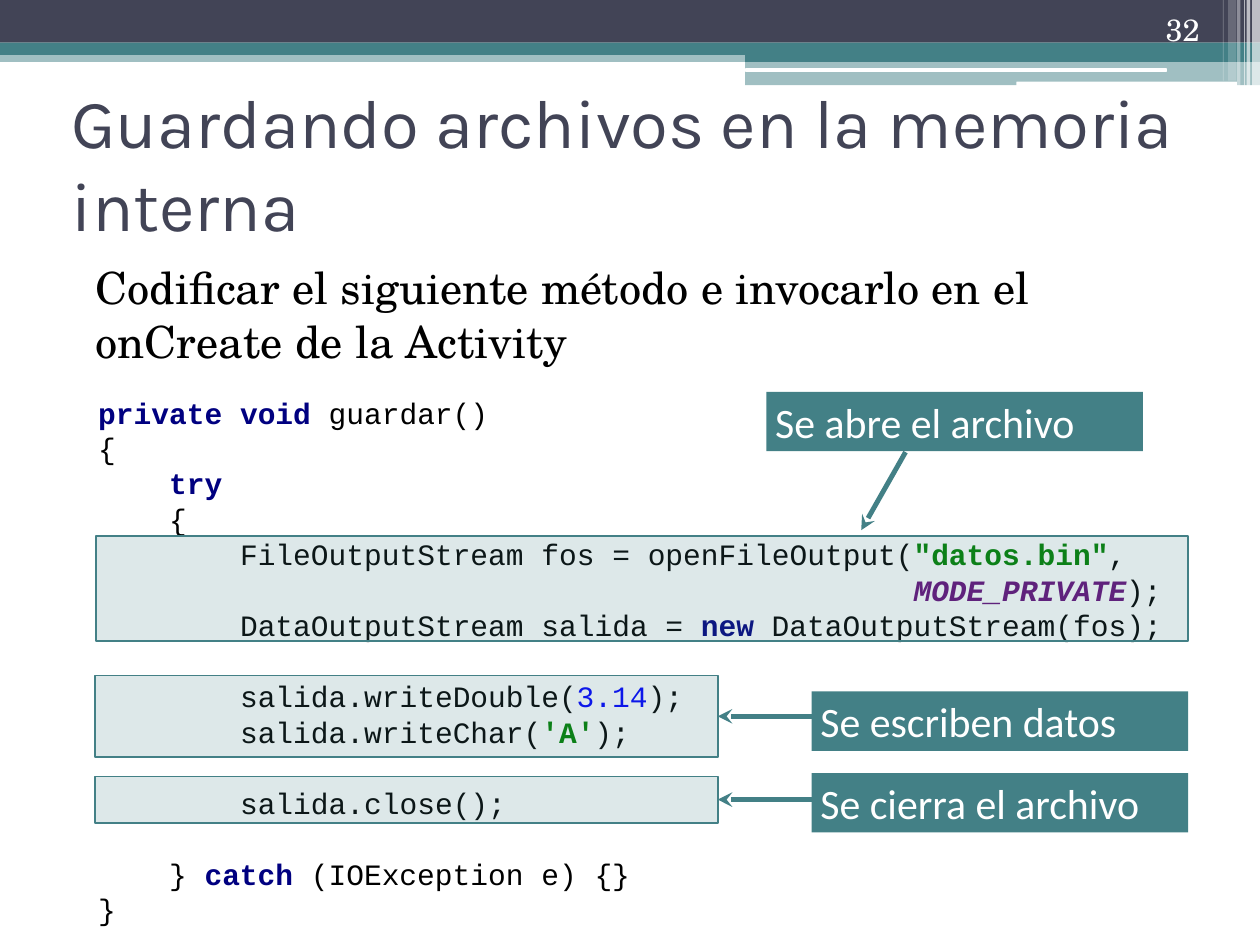
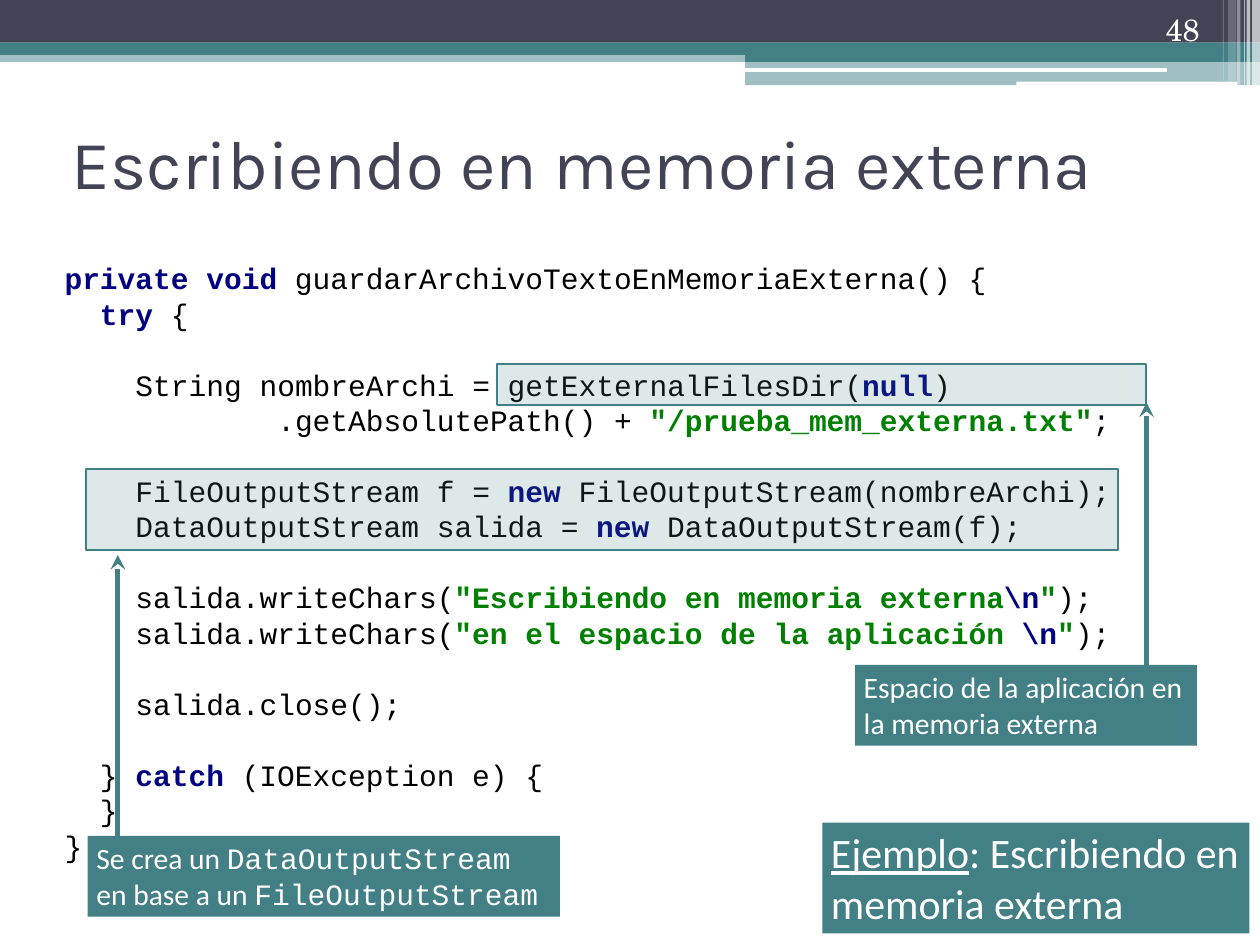
from dataclasses import dataclass, replace
from typing import NamedTuple, Sequence

from lxml.etree import SubElement
from pptx import Presentation
from pptx.dml.color import RGBColor
from pptx.enum.shapes import MSO_CONNECTOR, MSO_SHAPE
from pptx.enum.text import MSO_ANCHOR, PP_ALIGN
from pptx.oxml.ns import qn
from pptx.shapes.autoshape import Shape
from pptx.slide import Slide
from pptx.util import Emu, Pt

# Shared look: 100 px to the inch
PX = 9144
SLIDE_WIDTH, SLIDE_HEIGHT = 1422, 1066
NAVY, TEAL, WHITE, BLACK = "424456", "438086", "FFFFFF", "000000"
LINE_RATIO = 1.2


class Box(NamedTuple):
    left: int
    top: int
    width: int
    height: int


@dataclass(frozen=True)
class TextStyle:
    font: str
    size: int
    color: str
    bold: bool = False
    italic: bool = False
    underline: bool = False


class Run(NamedTuple):
    text: str
    style: TextStyle


class Band(NamedTuple):
    box: Box
    color: str
    opacity: int = 100
    rounded: bool = False


class Arrow(NamedTuple):
    start: tuple[int, int]
    end: tuple[int, int]
    joins_highlight: bool = False


class Note(NamedTuple):
    box: Box
    runs: list[Run]
    highlight: Box | None = None
    arrow: Arrow | None = None


Line = Sequence[Run]

# Text styles
TITLE = TextStyle("Karla", 56, NAVY)
BODY = TextStyle("TeX Gyre Schola", 36, BLACK)
NUMBER = TextStyle("TeX Gyre Schola", 25, WHITE)
NOTE_LARGE = TextStyle("Calibri", 34, WHITE)
NOTE_SMALL = replace(NOTE_LARGE, size=24)
NOTE_CODE = replace(NOTE_SMALL, font="Courier New")
PLAIN = TextStyle("Courier New", 24, BLACK)
KEYWORD = replace(PLAIN, color="000080", bold=True)
STRING = replace(PLAIN, color="008000", bold=True)
CONSTANT = replace(PLAIN, color="660E7A", bold=True, italic=True)
DIGITS = replace(PLAIN, color="0000FF")

# Header bands and the stripes at the right edge
HEADER = [
    Band(Box(0, 57, SLIDE_WIDTH, 13), TEAL, 50),
    Band(Box(0, 0, SLIDE_WIDTH, 48), NAVY),
    Band(Box(0, 48, SLIDE_WIDTH, 14), TEAL),
    Band(Box(841, 56, 581, 14), TEAL),
    Band(Box(841, 68, 581, 28), TEAL, 50),
    Band(Box(841, 77, 476, 4), WHITE, rounded=True),
    Band(Box(1147, 92, 249, 6), WHITE, rounded=True),
    *(Band(Box(left, 0, width, height), WHITE, opacity)
      for left, width, height, opacity in [
          (1413, 9, 97, 65), (1407, 4, 97, 65), (1404, 1, 97, 60),
          (1396, 4, 97, 40), (1386, 9, 91, 20), (1380, 1, 91, 30)]),
]
TITLE_BOX = Box(71, 100, 1280, 166)
NUMBER_BOX = Box(1036, 4, 332, 57)


def plain(text: str) -> Run:
    return Run(text, PLAIN)


def keyword(text: str) -> Run:
    return Run(text, KEYWORD)


def string(text: str) -> Run:
    return Run(text, STRING)


def rgb(color: str) -> RGBColor:
    return RGBColor.from_string(color)


def scaled(values: Sequence[int]) -> list[Emu]:
    return [Emu(value * PX) for value in values]


def add_rectangle(slide: Slide, box: Box, color: str, opacity: int = 100,
                  rounded: bool = False, outline: float = 0) -> Shape:
    kind = MSO_SHAPE.ROUNDED_RECTANGLE if rounded else MSO_SHAPE.RECTANGLE
    shape = slide.shapes.add_shape(kind, *scaled(box))
    shape.shadow.inherit = False
    shape.fill.solid()
    shape.fill.fore_color.rgb = rgb(color)
    if opacity < 100:
        fill_color = shape._element.spPr.find(".//" + qn("a:srgbClr"))
        SubElement(fill_color, qn("a:alpha")).set("val", str(opacity * 1000))
    if outline:
        shape.line.color.rgb = rgb(color)
        shape.line.width = Pt(outline)
    else:
        shape.line.fill.background()
    return shape


def write_lines(shape: Shape, lines: Sequence[Line],
                anchor: MSO_ANCHOR = MSO_ANCHOR.TOP,
                align: PP_ALIGN = PP_ALIGN.LEFT) -> None:
    """Write one paragraph a line; an empty line becomes space before the next."""
    frame = shape.text_frame
    frame.word_wrap = True
    frame.vertical_anchor = anchor
    paragraph, gap = frame.paragraphs[0], 0.0
    for index, line in enumerate(lines):
        if not line:
            gap += PLAIN.size * LINE_RATIO
            continue
        if index:
            paragraph = frame.add_paragraph()
        paragraph.alignment = align
        paragraph.line_spacing = Pt(line[0].style.size * LINE_RATIO)
        paragraph.space_before = Pt(gap)
        gap = 0.0
        for text, style in line:
            run = paragraph.add_run()
            run.text = text
            font = run.font
            font.name, font.size = style.font, Pt(style.size)
            font.color.rgb = rgb(style.color)
            font.bold, font.italic = style.bold, style.italic
            font.underline = style.underline


def add_text(slide: Slide, box: Box, run: Run,
             anchor: MSO_ANCHOR = MSO_ANCHOR.TOP,
             align: PP_ALIGN = PP_ALIGN.LEFT) -> Shape:
    shape = slide.shapes.add_textbox(*scaled(box))
    write_lines(shape, [[run]], anchor, align)
    return shape


def add_arrow(slide: Slide, arrow: Arrow, highlight: Shape) -> None:
    connector = slide.shapes.add_connector(
        MSO_CONNECTOR.STRAIGHT, *scaled(arrow.start + arrow.end))
    if arrow.joins_highlight:
        connector.end_connect(highlight, 3)
    connector.line.color.rgb = rgb(TEAL)
    connector.line.width = Pt(4)
    SubElement(connector.line._get_or_add_ln(), qn("a:tailEnd")).set("type", "stealth")
    SubElement(connector._element.spPr, qn("a:effectLst"))


def add_note(slide: Slide, note: Note) -> None:
    if note.highlight:
        highlight = add_rectangle(slide, note.highlight, TEAL, 18, outline=1.5)
        if note.arrow:
            add_arrow(slide, note.arrow, highlight)
    write_lines(add_rectangle(slide, note.box, TEAL), [note.runs])


def add_code(slide: Slide, box: Box, lines: Sequence[Line]) -> None:
    write_lines(add_rectangle(slide, box, WHITE), lines, MSO_ANCHOR.MIDDLE)


def add_base_slide(presentation: Presentation, title: str, number: int) -> Slide:
    slide = presentation.slides.add_slide(presentation.slide_layouts[6])
    for band in HEADER:
        add_rectangle(slide, *band)
    add_text(slide, TITLE_BOX, Run(title, TITLE), MSO_ANCHOR.MIDDLE)
    number_shape = add_text(slide, NUMBER_BOX, Run(str(number), NUMBER),
                            MSO_ANCHOR.BOTTOM, PP_ALIGN.RIGHT)
    frame = number_shape.text_frame
    frame.margin_left = frame.margin_right = Emu(14 * PX)
    frame.margin_top = frame.margin_bottom = Emu(7 * PX)
    return slide


def add_internal_memory(presentation: Presentation) -> None:
    slide = add_base_slide(presentation, "Guardando archivos en la memoria interna", 32)
    body = add_text(slide, Box(81, 289, 1280, 110), Run(
        "Codificar el siguiente método e invocarlo en el onCreate de la Activity", BODY))
    body.text_frame.margin_left = Emu(27 * PX)
    add_code(slide, Box(101, 437, 1221, 616), [
        [keyword("private void "), plain("guardar()")],
        [plain("{")],
        [keyword("    try")],
        [plain("    {")],
        [plain("        FileOutputStream fos = openFileOutput("),
         string('"datos.bin"'), plain(",")],
        [plain("                                              "),
         Run("MODE_PRIVATE", CONSTANT), plain(");")],
        [plain("        DataOutputStream salida = "), keyword("new "),
         plain("DataOutputStream(fos);")],
        [],
        [plain("        salida.writeDouble("), Run("3.14", DIGITS), plain(");")],
        [plain("        salida.writeChar("), string("'A'"), plain(");")],
        [],
        [plain("        salida.close();")],
        [],
        [plain("    } "), keyword("catch "), plain("(IOException e) {}")],
        [plain("}")],
    ])
    for note in [
        Note(Box(865, 442, 425, 67), [Run("Se abre el archivo", NOTE_LARGE)],
             Box(108, 605, 1233, 118), Arrow((1022, 510), (972, 598))),
        Note(Box(916, 780, 425, 67), [Run("Se escriben datos", NOTE_LARGE)],
             Box(107, 762, 703, 92), Arrow((978, 808), (810, 808), True)),
        Note(Box(916, 872, 425, 67), [Run("Se cierra el archivo", NOTE_LARGE)],
             Box(107, 876, 703, 52), Arrow((978, 902), (810, 902), True)),
    ]:
        add_note(slide, note)


def add_external_memory(presentation: Presentation) -> None:
    slide = add_base_slide(presentation, "Escribiendo en memoria externa", 48)
    add_code(slide, Box(63, 285, 1359, 697), [
        [keyword("private void "), plain("guardarArchivoTextoEnMemoriaExterna() {")],
        [keyword("  try "), plain("{")],
        [],
        [plain("    String nombreArchi = getExternalFilesDir("),
         keyword("null"), plain(")")],
        [plain("            .getAbsolutePath() + "),
         string('"/prueba_mem_externa.txt"'), plain(";")],
        [],
        [plain("    FileOutputStream f = "), keyword("new "),
         plain("FileOutputStream(nombreArchi);")],
        [plain("    DataOutputStream salida = "), keyword("new "),
         plain("DataOutputStream(f);")],
        [],
        *([plain("    salida.writeChars("), string(f'"{words}'), keyword("\\n"),
           string('"'), plain(");")]
          for words in ["Escribiendo en memoria externa",
                        "en el espacio de la aplicación "]),
        [],
        [plain("    salida.close();")],
        [],
        [plain("  } "), keyword("catch "), plain("(IOException e) {")],
        [plain("  }")],
        [plain("}")],
    ])
    for note in [
        Note(Box(99, 943, 533, 91),
             [Run("Se crea un ", NOTE_SMALL), Run("DataOutputStream ", NOTE_CODE),
              Run("en base a un ", NOTE_SMALL), Run("FileOutputStream", NOTE_CODE)],
             Box(97, 529, 1165, 91), Arrow((133, 951), (133, 626))),
        Note(Box(965, 750, 386, 91),
             [Run("Espacio de la aplicación en la memoria externa", NOTE_SMALL)],
             Box(561, 411, 732, 46), Arrow((1294, 788), (1294, 454))),
        Note(Box(928, 928, 482, 125),
             [Run("Ejemplo", replace(NOTE_LARGE, underline=True)),
              Run(": Escribiendo en memoria externa", NOTE_LARGE)]),
    ]:
        add_note(slide, note)


def main() -> None:
    presentation = Presentation()
    presentation.slide_width, presentation.slide_height = scaled(
        (SLIDE_WIDTH, SLIDE_HEIGHT))
    add_internal_memory(presentation)
    add_external_memory(presentation)
    presentation.save("out.pptx")


if __name__ == "__main__":
    main()
